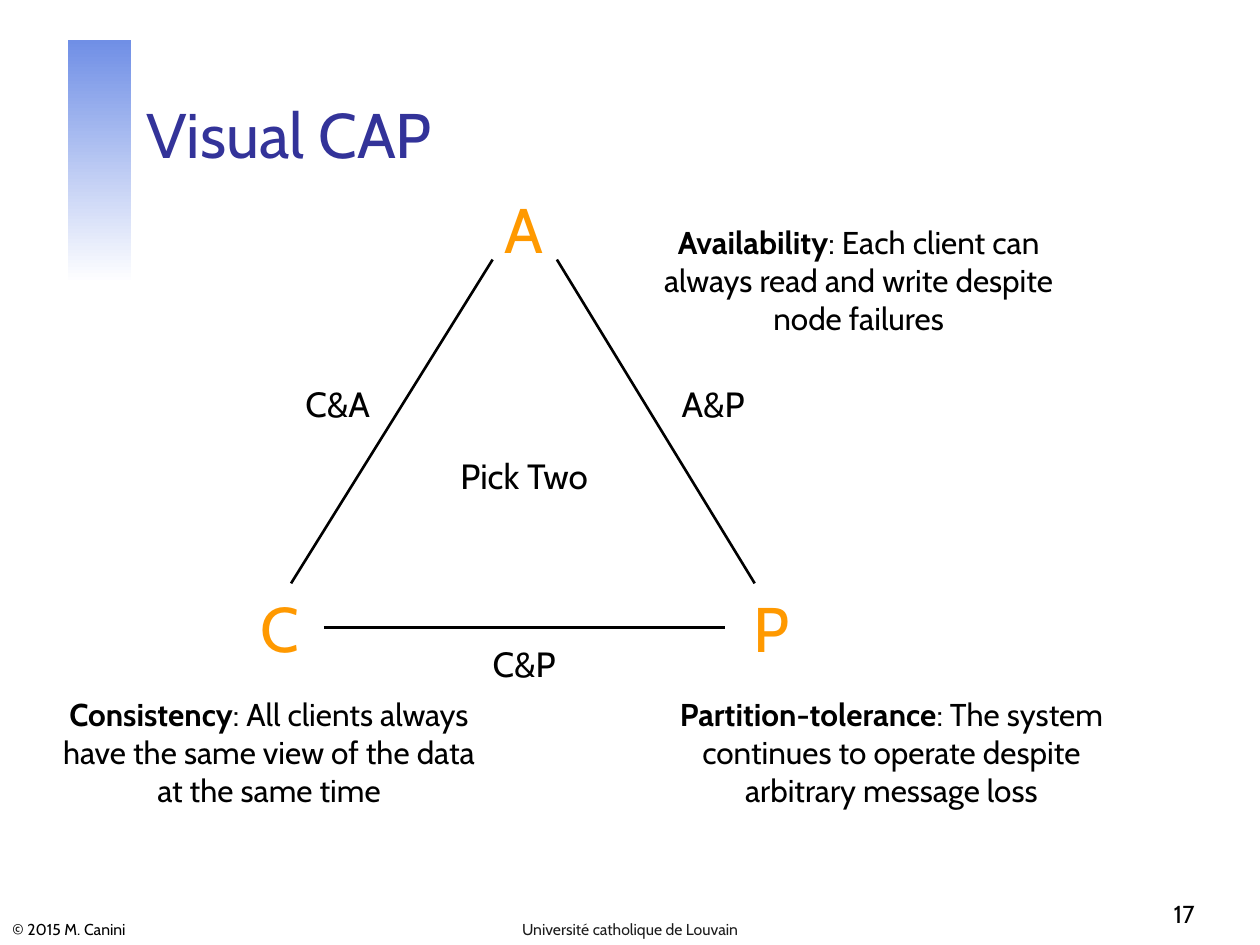
import lxml.etree
import pptx
import pptx.dml.color
import pptx.enum.shapes
import pptx.enum.text
import pptx.oxml.ns
import pptx.util

Inches = pptx.util.Inches
ALIGN = pptx.enum.text.PP_ALIGN
ANCHOR = pptx.enum.text.MSO_ANCHOR


def color(value):
    return pptx.dml.color.RGBColor.from_string(value)


class SlideBuilder:
    """Hold the deck style and the current slide, and add its elements."""

    font_name = "Cabin"
    black = "000000"
    orange = "FF9900"
    title_blue = "333399"

    def __init__(self, slide):
        self.slide = slide

    def format_paragraph(self, paragraph, size, hex_color, align):
        paragraph.alignment = align
        paragraph.font.name = self.font_name
        paragraph.font.size = pptx.util.Pt(size)
        paragraph.font.color.rgb = color(hex_color)

    def title(self, text, left, top, width, height):
        title = self.slide.shapes.title
        title.left, title.top = Inches(left), Inches(top)
        title.width, title.height = Inches(width), Inches(height)
        frame = title.text_frame
        frame.text = text
        frame.vertical_anchor = ANCHOR.BOTTOM
        frame.auto_size = pptx.enum.text.MSO_AUTO_SIZE.NONE
        self.format_paragraph(frame.paragraphs[0], 36, self.title_blue, ALIGN.LEFT)

    def gradient_bar(self, left, top, width, height, start, end):
        bar = self.slide.shapes.add_shape(
            pptx.enum.shapes.MSO_SHAPE.RECTANGLE,
            Inches(left), Inches(top), Inches(width), Inches(height))
        bar.shadow.inherit = False
        bar.line.fill.background()
        bar.fill.gradient()
        bar.fill.gradient_angle = 270
        for stop, value in zip(bar.fill.gradient_stops, (start, end)):
            stop.color.rgb = color(value)

    def text(self, text, left, top, width, height, size, hex_color=black,
             align=ALIGN.CENTER, anchor=ANCHOR.TOP, wrap=True, term=None):
        box = self.slide.shapes.add_textbox(
            Inches(left), Inches(top), Inches(width), Inches(height))
        frame = box.text_frame
        frame.word_wrap = wrap
        frame.vertical_anchor = anchor
        paragraph = frame.paragraphs[0]
        if term:
            run = paragraph.add_run()
            run.text = term
            run.font.bold = True
        paragraph.add_run().text = text
        self.format_paragraph(paragraph, size, hex_color, align)

    def corner(self, letter, left, top):
        self.text(letter, left, top, 0.5, 0.71, 36, self.orange, wrap=False)

    def label(self, text, left, top, width=0.72):
        self.text(text, left, top, width, 0.44, 20, wrap=False)

    def definition(self, term, text, left, top, width=3.47):
        self.text(text, left, top, width, 1.01, 18, term=term)

    def footer(self, text, left, top, width, height, size, align, hex_color=black):
        self.text(text, left, top, width, height, size, hex_color, align, ANCHOR.BOTTOM)

    def edge(self, start, end):
        line = self.slide.shapes.add_connector(
            pptx.enum.shapes.MSO_CONNECTOR.STRAIGHT,
            *(Inches(length) for length in (*start, *end)))
        line.line.color.rgb = color(self.black)
        line.line.width = pptx.util.Pt(1.5)
        properties = line._element.spPr
        lxml.etree.SubElement(properties, pptx.oxml.ns.qn("a:effectLst"))


def main():
    presentation = pptx.Presentation()
    presentation.slide_width = Inches(10)
    presentation.slide_height = Inches(7.5)
    slide = presentation.slides.add_slide(presentation.slide_layouts.get_by_name("Title Only"))
    builder = SlideBuilder(slide)

    builder.gradient_bar(0.54, 0.32, 0.5, 1.93, "708FE6", "FFFFFF")
    builder.title("Visual CAP", 1.06, 0.33, 8.52, 1.08)

    builder.footer("© 2015 M. Canini", 0, 7.22, 3.02, 0.28, 9, ALIGN.LEFT)
    builder.footer("17", 7.5, 6.92, 2.08, 0.5, 14, ALIGN.RIGHT)
    builder.footer("Université catholique de Louvain", 3.42, 7.22, 3.16, 0.28, 9,
                   ALIGN.CENTER, "1C1C1C")

    apex_top, base_top = 1.46, 4.63
    builder.corner("A", 3.91, apex_top)
    builder.corner("C", 1.97, base_top)
    builder.corner("P", 5.87, base_top)

    builder.edge((2.31, base_top), (3.91, 2.06))
    builder.edge((5.99, base_top), (4.42, 2.06))
    builder.edge((2.57, 4.98), (5.75, 4.98))

    builder.label("Pick Two", 3.52, 3.56, 1.28)
    builder.label("C&P", 3.8, 5.05)
    builder.label("C&A", 2.32, 2.99)
    builder.label("A&P", 5.3, 2.99)

    builder.definition(
        "Availability", ": Each client can always read and write despite node failures",
        5.08, 1.72)
    builder.definition(
        "Consistency", ": All clients always have the same view of the data at the same time",
        0.4, 5.47)
    builder.definition(
        "Partition-tolerance",
        ": The system continues to operate despite arbitrary message loss",
        5.29, 5.47, 3.57)

    presentation.save("out.pptx")


if __name__ == "__main__":
    main()
